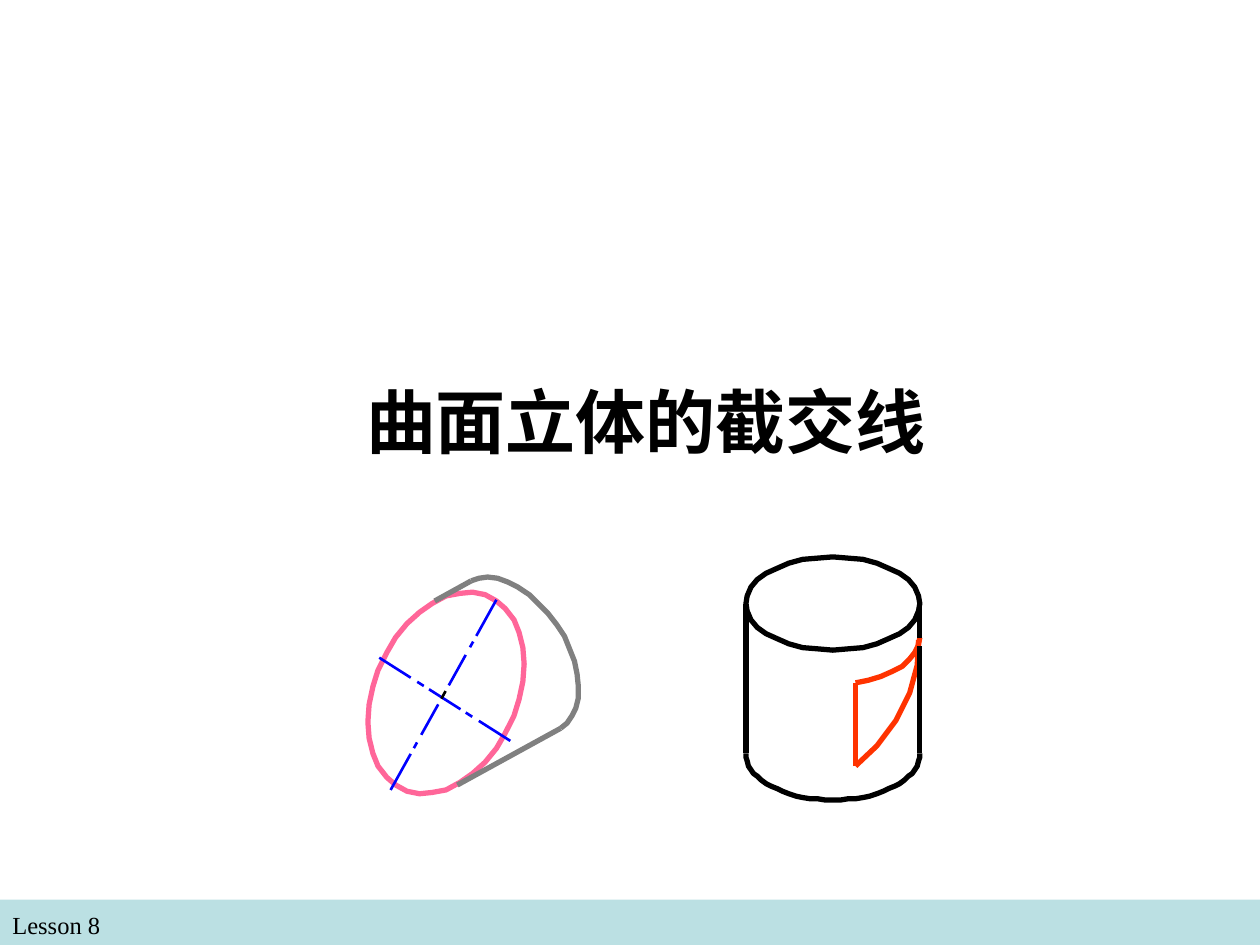
from dataclasses import dataclass
from math import cos, radians, sin

from lxml.etree import SubElement
from pptx import Presentation
from pptx.dml.color import RGBColor as Color
from pptx.enum.shapes import MSO_CONNECTOR as Connector, MSO_SHAPE as Preset
from pptx.enum.text import MSO_ANCHOR as Anchor, PP_ALIGN as Align
from pptx.oxml.ns import qn
from pptx.util import Inches, Pt

COLUMNS, ROWS = 1000, 750
CELL = Inches(10) // COLUMNS


@dataclass(frozen=True)
class Theme:
    """Colours, fonts, type sizes and line widths of the slide."""

    black: Color = Color.from_string("000000")
    band: Color = Color.from_string("BBE0E3")
    back_edge: Color = Color.from_string("808080")
    section: Color = Color.from_string("FF6699")
    axis: Color = Color.from_string("0000FF")
    cut: Color = Color.from_string("FF3300")
    title_font: str = "Noto Sans CJK SC"
    accent_font: str = "Lato"
    footer_font: str = "Times New Roman"
    title_size: Pt = Pt(40)
    footer_size: Pt = Pt(14)
    outline: Pt = Pt(3)
    thin: Pt = Pt(1.5)


THEME = Theme()


def cells(*lengths):
    """Turn grid cells into slide lengths."""
    return [round(length * CELL) for length in lengths]


def arc(centre, radii, start=0, end=360, skew=0, steps=36):
    """Return points along a possibly skewed ellipse, angles in degrees."""
    angles = [radians(start + (end - start) * step / steps) for step in range(steps + 1)]
    return [
        (centre[0] + radii[0] * cos(angle), centre[1] + radii[1] * sin(angle + radians(skew)))
        for angle in angles
    ]


def add_curve(shapes, points, color, closed=False):
    """Draw an unfilled outline through grid points."""
    builder = shapes.build_freeform(*points[0], scale=CELL)
    builder.add_line_segments(points[1:], close=closed)
    shape = builder.convert_to_shape()
    shape.shadow.inherit = False
    shape.fill.background()
    shape.line.color.rgb = color
    shape.line.width = THEME.outline


def add_line(shapes, start, end, color, width=THEME.outline):
    """Draw a straight line between grid points."""
    line = shapes.add_connector(Connector.STRAIGHT, *cells(*start, *end))
    line.line.color.rgb = color
    line.line.width = width
    SubElement(line._element.spPr, qn("a:effectLst"))


def add_dashes(shapes, start, end, shares, color):
    """Draw the given shares of the way from start to end."""

    def point_at(share):
        return [a + (b - a) * share for a, b in zip(start, end)]

    for first, last in shares:
        add_line(shapes, point_at(first), point_at(last), color, THEME.thin)


def add_text(slide, box, runs, size, bold=False, align=Align.LEFT, anchor=Anchor.TOP):
    """Add one paragraph made of (text, font name) runs."""
    frame = slide.shapes.add_textbox(*cells(*box)).text_frame
    frame.word_wrap = True
    frame.vertical_anchor = anchor
    paragraph = frame.paragraphs[0]
    paragraph.alignment = align
    paragraph.font.size = size
    paragraph.font.bold = bold
    paragraph.font.color.rgb = THEME.black
    for text, font_name in runs:
        run = paragraph.add_run()
        run.text = text
        run.font.name = font_name
        SubElement(run.font._element, qn("a:ea"), typeface=THEME.title_font)


def add_footer(slide):
    """Add the coloured band with the lesson number."""
    band = slide.shapes.add_shape(Preset.RECTANGLE, *cells(0, 714, COLUMNS, ROWS - 714))
    band.shadow.inherit = False
    band.fill.solid()
    band.fill.fore_color.rgb = THEME.band
    band.line.fill.background()
    add_text(slide, (0, 717, 483, 34), [("Lesson 8", THEME.footer_font)], THEME.footer_size)


def add_title(slide):
    """Add the centred title."""
    main, accent = THEME.title_font, THEME.accent_font
    runs = [("曲面", main), ("立", accent), ("体的", main), ("截交线", accent)]
    add_text(slide, (200, 275, 625, 117), runs, THEME.title_size, True, Align.CENTER, Anchor.MIDDLE)


def add_oblique_section(slide):
    """Draw the cylinder end cut by an oblique plane, with its axes."""
    shapes = slide.shapes.add_group_shape().shapes
    rim = [
        (445, 578), (450, 574), (454, 568), (457, 562), (459, 554), (459, 545), (458, 535),
        (456, 525), (452, 515), (448, 505), (442, 496), (435, 487), (427, 479), (420, 472),
        (411, 466), (403, 462), (395, 459), (387, 458), (380, 459), (374, 461),
    ]
    add_curve(shapes, rim, THEME.back_edge)
    add_curve(shapes, arc((354, 550), (62, 80), skew=-16.7), THEME.section, closed=True)
    add_line(shapes, rim[-1], (345, 477), THEME.back_edge)
    add_line(shapes, (363, 623), rim[0], THEME.back_edge)
    long_axis = (394, 476), (310, 627)
    half = [(0, 0.19), (0.22, 0.25), (0.29, 0.45)]
    mirrored = [(1 - last, 1 - first) for first, last in half]
    add_dashes(shapes, *long_axis, half + mirrored, THEME.axis)
    short_shares = [(0, 0.24), (0.29, 0.34), (0.38, 0.62), (0.66, 0.71), (0.76, 1)]
    add_dashes(shapes, (301, 522), (405, 588), short_shares, THEME.axis)
    add_dashes(shapes, *long_axis, [(0.48, 0.52)], THEME.black)


def add_cut_cylinder(slide):
    """Draw the upright cylinder with a cut in its side."""
    shapes = slide.shapes.add_group_shape().shapes
    middle, left, right, top, bottom = 661, 592, 730, 479, 598
    radii = (right - middle, 37)
    add_curve(shapes, arc((middle, bottom), radii, 0, 180), THEME.black)
    add_curve(shapes, arc((middle, top), radii), THEME.black, closed=True)
    add_curve(shapes, arc((middle, 506), radii, 0, 75, steps=8), THEME.cut)
    slant = [(729, 508), (728, 528), (722, 550), (711, 572), (696, 592), (679, 608)]
    add_curve(shapes, slant, THEME.cut)
    add_line(shapes, slant[-1], (679, 542), THEME.cut)
    for side, start, end in [(left, top, bottom), (right, top, 506), (right, 513, bottom)]:
        add_line(shapes, (side, start), (side, end), THEME.black)


def main():
    """Build the slide and save it."""
    presentation = Presentation()
    presentation.slide_width, presentation.slide_height = cells(COLUMNS, ROWS)
    slide = presentation.slides.add_slide(presentation.slide_layouts[6])
    add_footer(slide)
    add_title(slide)
    add_oblique_section(slide)
    add_cut_cylinder(slide)
    presentation.save("out.pptx")


if __name__ == "__main__":
    main()
